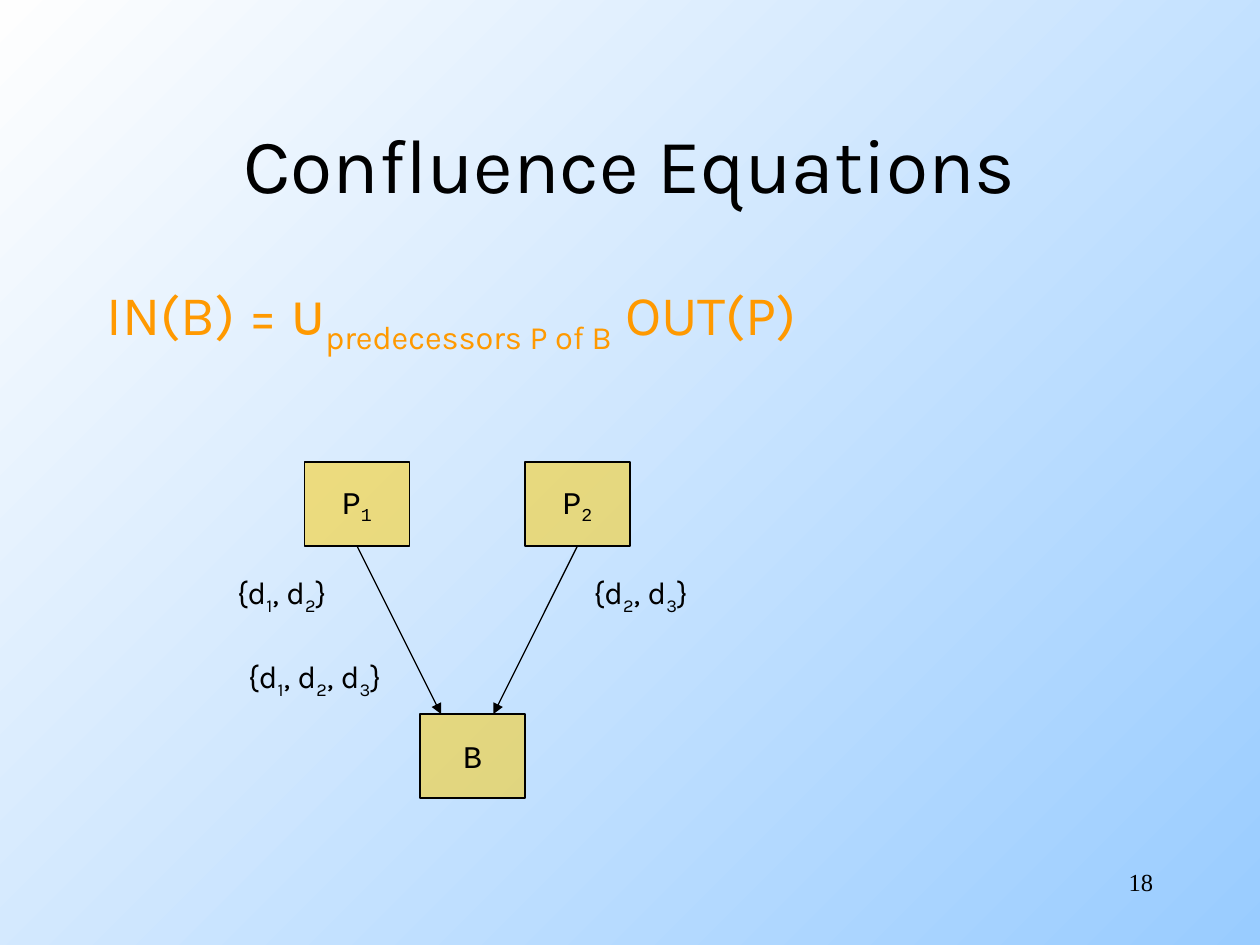
from lxml import etree
from pptx import Presentation
from pptx.dml.color import RGBColor
from pptx.enum.shapes import MSO_CONNECTOR, MSO_SHAPE
from pptx.enum.text import MSO_ANCHOR, MSO_AUTO_SIZE, PP_ALIGN
from pptx.oxml.ns import qn
from pptx.util import Pt

STRAIGHT = MSO_CONNECTOR.STRAIGHT
RECTANGLE = MSO_SHAPE.RECTANGLE
MIDDLE, TOP = MSO_ANCHOR.MIDDLE, MSO_ANCHOR.TOP
FIT_SHAPE = MSO_AUTO_SIZE.SHAPE_TO_FIT_TEXT
LEFT, CENTER, RIGHT = PP_ALIGN.LEFT, PP_ALIGN.CENTER, PP_ALIGN.RIGHT

COLORS = {"ink": "000000", "equation": "FF9900", "block": "FFCC00",
          "sky": "99CCFF", "white": "FEFEFE"}
BLOCK_WIDTH, BLOCK_HEIGHT = 60, 48


def color(name):
    return RGBColor.from_string(COLORS[name])


def write(paragraph, text, font="Karla", size=18, ink="ink"):
    """Write text whose parts between bars are subscripts."""
    for index, part in enumerate(text.split("|")):
        if not part:
            continue
        run = paragraph.add_run()
        run.text = part
        run.font.name = font
        run.font.size = Pt(size)
        run.font.color.rgb = color(ink)
        if index % 2:
            run.font._element.set("baseline", "-25000")


class ConfluenceSlide:
    """Hold the style and the slide being drawn."""

    def __init__(self, presentation):
        self.slide = presentation.slides.add_slide(presentation.slide_layouts[6])
        self.shapes = self.slide.shapes

    def background(self, start, end, angle):
        fill = self.slide.background.fill
        fill.gradient()
        fill.gradient_angle = angle
        for stop, position, name in zip(fill.gradient_stops, (0, 1), (start, end)):
            stop.position = position
            stop.color.rgb = color(name)

    def text(self, left, top, width, height, align=LEFT, anchor=TOP):
        box = self.shapes.add_textbox(Pt(left), Pt(top), Pt(width), Pt(height))
        box.text_frame.word_wrap = True
        box.text_frame.vertical_anchor = anchor
        paragraph = box.text_frame.paragraphs[0]
        paragraph.alignment = align
        return paragraph

    def label(self, text, left, top, width):
        box = self.shapes.add_textbox(Pt(left), Pt(top), Pt(width), Pt(31.7))
        box.text_frame.word_wrap = False
        box.text_frame.auto_size = FIT_SHAPE
        write(box.text_frame.paragraphs[0], text)

    def block(self, name, left, top):
        block = self.shapes.add_shape(RECTANGLE, Pt(left), Pt(top),
                                      Pt(BLOCK_WIDTH), Pt(BLOCK_HEIGHT))
        block.shadow.inherit = False
        block.fill.solid()
        block.fill.fore_color.rgb = color("block")
        tint = block._element.spPr.find(qn("a:solidFill"))[0]
        etree.SubElement(tint, qn("a:alpha"), val="50000")
        block.line.color.rgb = color("ink")
        block.line.width = Pt(0.75)
        block.text_frame.word_wrap = False
        block.text_frame.vertical_anchor = MIDDLE
        paragraph = block.text_frame.paragraphs[0]
        paragraph.alignment = CENTER
        write(paragraph, name, font="Courier New")

    def arrow(self, start_x, start_y, end_x, end_y):
        arrow = self.shapes.add_connector(STRAIGHT, Pt(start_x), Pt(start_y),
                                          Pt(end_x), Pt(end_y))
        arrow.line.color.rgb = color("ink")
        arrow.line.width = Pt(0.75)
        etree.SubElement(arrow.line._get_or_add_ln(), qn("a:tailEnd"), type="triangle")
        etree.SubElement(arrow._element.spPr, qn("a:effectLst"))


def main():
    presentation = Presentation()
    presentation.slide_width, presentation.slide_height = Pt(720), Pt(540)
    page = ConfluenceSlide(presentation)
    page.background("sky", "white", angle=135)

    title = page.text(54, 48, 612, 90, align=CENTER, anchor=MIDDLE)
    write(title, "Confluence Equations", size=44)

    equation = page.text(54, 156, 612, 324)
    write(equation, "IN(B) = ", size=32, ink="equation")
    write(equation, "∪", font="DejaVu Sans Mono", size=32, ink="equation")
    write(equation, "|predecessors P of B| OUT(P)", size=32, ink="equation")

    predecessor_top, successor_top, successor_left = 264, 408, 240
    successor_center = successor_left + BLOCK_WIDTH / 2
    page.block("B", successor_left, successor_top)
    for name, left, entry in (("P|1|", 174, -18), ("P|2|", 300, 12)):
        page.block(name, left, predecessor_top)
        page.arrow(left + BLOCK_WIDTH / 2, predecessor_top + BLOCK_HEIGHT,
                   successor_center + entry, successor_top)

    page.label("{d|1|, d|2|, d|3|}", 134.6, 372, 98)
    page.label("{d|2|, d|3|}", 332, 324, 71.3)
    page.label("{d|1|, d|2|}", 128.2, 324, 71.3)

    number = page.text(516, 492, 150, 36, align=RIGHT)
    write(number, "18", font="Times New Roman", size=14)

    presentation.save("out.pptx")


if __name__ == "__main__":
    main()
